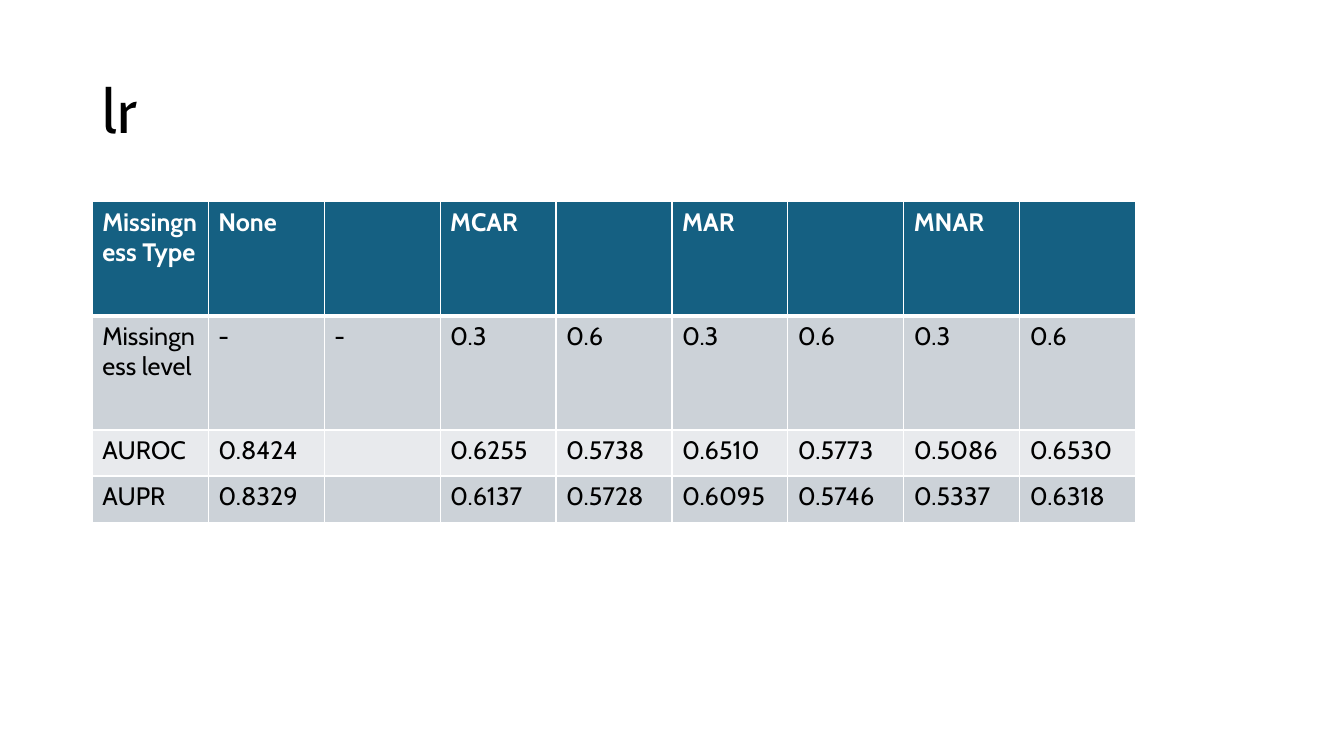
from dataclasses import dataclass

from lxml.etree import SubElement
from pptx import Presentation
from pptx.dml.color import RGBColor as RGB
from pptx.enum.text import MSO_ANCHOR as Anchor
from pptx.oxml.ns import qn
from pptx.util import Pt

FONT = "Cabin"
COLORS = {
    "text": "000000",
    "white": "FFFFFF",
    "header": "156082",
    "band": "CCD2D8",
    "light": "E8EAED",
}
COL_WIDTH = 82.8
TABLE_LEFT, TABLE_TOP = 66, 144


@dataclass
class Row:
    values: list[str]
    height: float
    fill: str
    color: str = "text"
    bold: bool = False
    top: float = 1
    bottom: float = 1


ROWS = [
    Row(["Missingness Type", "None", "", "MCAR", "", "MAR", "", "MNAR", ""],
        81.6, "header", color="white", bold=True, bottom=3),
    Row(["Missingness level", "-", "-"] + ["0.3", "0.6"] * 3,
        81.6, "band", top=3),
    Row(["AUROC", "0.8424", "", "0.6255", "0.5738", "0.6510", "0.5773",
         "0.5086", "0.6530"], 32.9, "light"),
    Row(["AUPR", "0.8329", "", "0.6137", "0.5728", "0.6095", "0.5746",
         "0.5337", "0.6318"], 32.9, "band"),
]


def write(tf, text: str, *, size: float = 18, color: str = "text",
          bold: bool = False, spacing: float = 1.0) -> None:
    p = tf.paragraphs[0]
    p.line_spacing = spacing
    p.font.size = Pt(size)
    if not text:
        return
    r = p.add_run()
    r.text = text
    r.font.name = FONT
    r.font.size = Pt(size)
    r.font.bold = bold
    r.font.color.rgb = RGB.from_string(COLORS[color])


def add_borders(cell, top: float, bottom: float) -> None:
    tc_pr = cell._tc.get_or_add_tcPr()
    for side, width in {"L": 1, "R": 1, "T": top, "B": bottom}.items():
        ln = SubElement(tc_pr, qn(f"a:ln{side}"), w=str(Pt(width)))
        fill = SubElement(ln, qn("a:solidFill"))
        SubElement(fill, qn("a:srgbClr"), val=COLORS["white"])


def add_results(slide, rows: list[Row]) -> None:
    n_cols = len(rows[0].values)
    table = slide.shapes.add_table(
        len(rows), n_cols, Pt(TABLE_LEFT), Pt(TABLE_TOP),
        Pt(COL_WIDTH * n_cols), Pt(sum(row.height for row in rows))).table
    for col in table.columns:
        col.width = Pt(COL_WIDTH)
    for i, row in enumerate(rows):
        table.rows[i].height = Pt(row.height)
        for j, value in enumerate(row.values):
            cell = table.cell(i, j)
            add_borders(cell, row.top, row.bottom)
            cell.fill.solid()
            cell.fill.fore_color.rgb = RGB.from_string(COLORS[row.fill])
            write(cell.text_frame, value, color=row.color, bold=row.bold)


def main() -> None:
    prs = Presentation()
    prs.slide_width, prs.slide_height = Pt(960), Pt(540)
    slide = prs.slides.add_slide(prs.slide_layouts.get_by_name("Title Only"))

    # Title
    title = slide.shapes.title
    title.left, title.top = Pt(66), Pt(28.75)
    title.width, title.height = Pt(828), Pt(104.4)
    tf = title.text_frame
    tf.vertical_anchor = Anchor.MIDDLE
    write(tf, "lr", size=44, spacing=0.9)
    tf.paragraphs[0].alignment = 1  # left

    # Results by missingness type and level
    add_results(slide, ROWS)

    prs.save("out.pptx")


if __name__ == "__main__":
    main()
